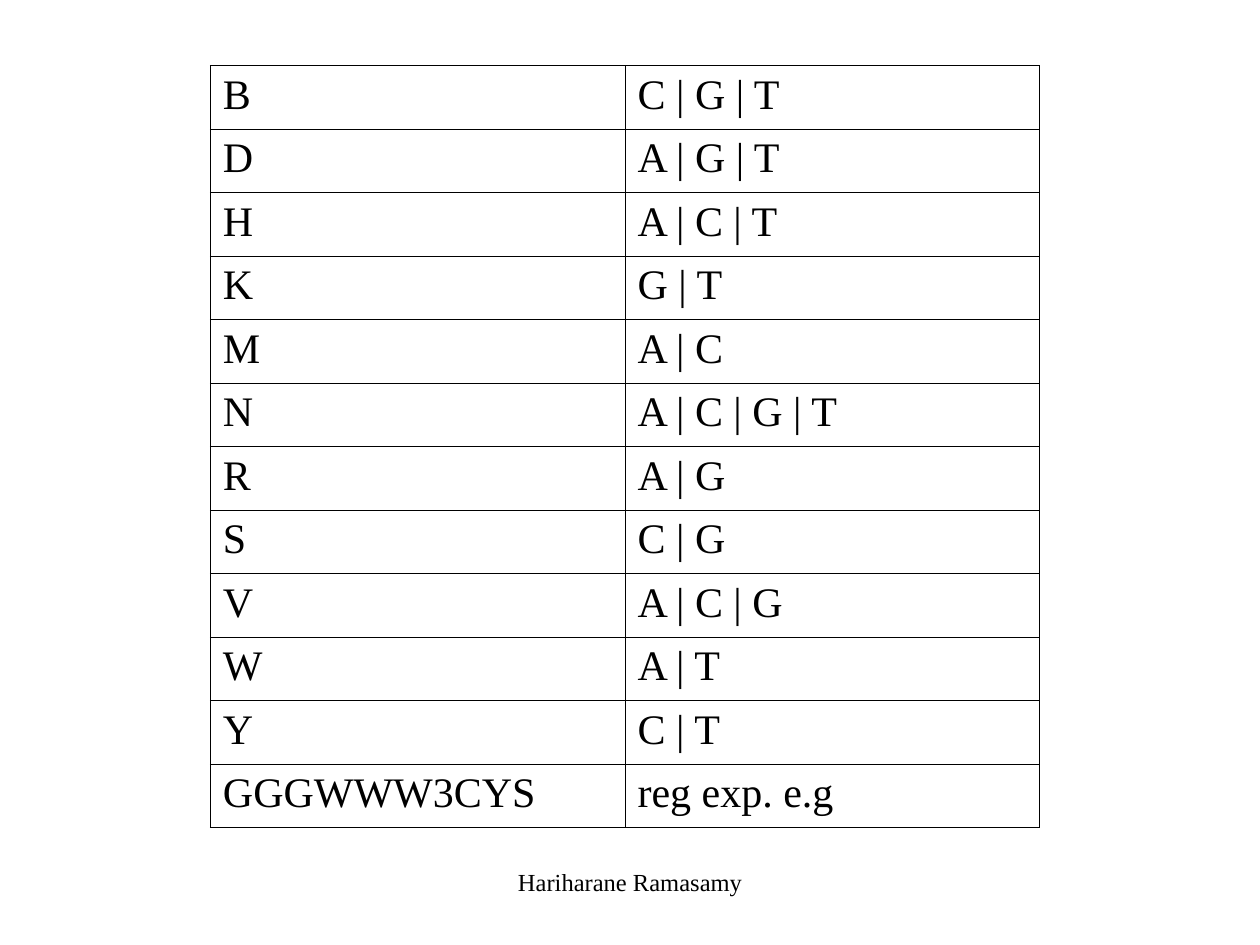
from lxml import etree
from pptx import Presentation
from pptx.dml.color import RGBColor
from pptx.enum.text import MSO_ANCHOR, PP_ALIGN
from pptx.oxml.ns import qn
from pptx.util import Cm, Pt

LEFT, CENTER = PP_ALIGN.LEFT, PP_ALIGN.CENTER
TOP = MSO_ANCHOR.TOP
COLORS = {"ink": "000000"}
FONT = "Times New Roman"
NUCLEOTIDE_CODES = [
    ("B", "C | G | T"),
    ("D", "A | G | T"),
    ("H", "A | C | T"),
    ("K", "G | T"),
    ("M", "A | C"),
    ("N", "A | C | G | T"),
    ("R", "A | G"),
    ("S", "C | G"),
    ("V", "A | C | G"),
    ("W", "A | T"),
    ("Y", "C | T"),
    ("GGGWWW3CYS", "reg exp. e.g"),
]


def write(frame, text, size=24, color="ink", align=LEFT):
    """Put one formatted paragraph into a text frame."""
    frame.word_wrap = True
    paragraph = frame.paragraphs[0]
    paragraph.alignment = align
    run = paragraph.add_run()
    run.text = text
    run.font.name = FONT
    run.font.size = Pt(size)
    run.font.color.rgb = RGBColor.from_string(COLORS[color])


class SlideBuilder:
    """Hold the style and the current slide."""

    def __init__(self, slide, border_width=0.45, border_color="ink"):
        """Keep the slide and the table border style."""
        self.slide = slide
        self.border_width = Pt(border_width)
        self.border_color = COLORS[border_color]

    def outline(self, cell):
        """Draw a thin line on all four sides of a cell."""
        properties = cell._tc.get_or_add_tcPr()
        for position, side in enumerate(("lnL", "lnR", "lnT", "lnB")):
            line = etree.Element(qn(f"a:{side}"), w=str(self.border_width))
            fill = etree.SubElement(line, qn("a:solidFill"))
            etree.SubElement(fill, qn("a:srgbClr"), val=self.border_color)
            properties.insert(position, line)

    def table(self, rows, left, top, column_width, row_height):
        """Add an unfilled, bordered table with equal rows and columns."""
        columns = len(rows[0])
        grid = self.slide.shapes.add_table(
            len(rows), columns, Cm(left), Cm(top),
            Cm(column_width * columns), Cm(row_height * len(rows))).table
        grid.first_row = grid.horz_banding = False
        for column in grid.columns:
            column.width = Cm(column_width)
        for row, values in zip(grid.rows, rows):
            row.height = Cm(row_height)
            for cell, value in zip(row.cells, values):
                cell.fill.background()
                cell.vertical_anchor = TOP
                self.outline(cell)
                write(cell.text_frame, value)

    def text(self, text, left, top, width, height, **style):
        """Add a text box."""
        box = self.slide.shapes.add_textbox(
            Cm(left), Cm(top), Cm(width), Cm(height))
        write(box.text_frame, text, **style)


def main():
    """Build and save the slide."""
    deck = Presentation()
    deck.slide_width, deck.slide_height = Cm(25.4), Cm(19.05)
    builder = SlideBuilder(deck.slides.add_slide(deck.slide_layouts[6]))
    builder.table(NUCLEOTIDE_CODES, 4.24, 1.32, 8.36, 1.28)
    builder.text("Hariharane Ramasamy", 8.68, 17.35, 8.05, 1.27,
                 size=14, align=CENTER)
    deck.save("out.pptx")


if __name__ == "__main__":
    main()
